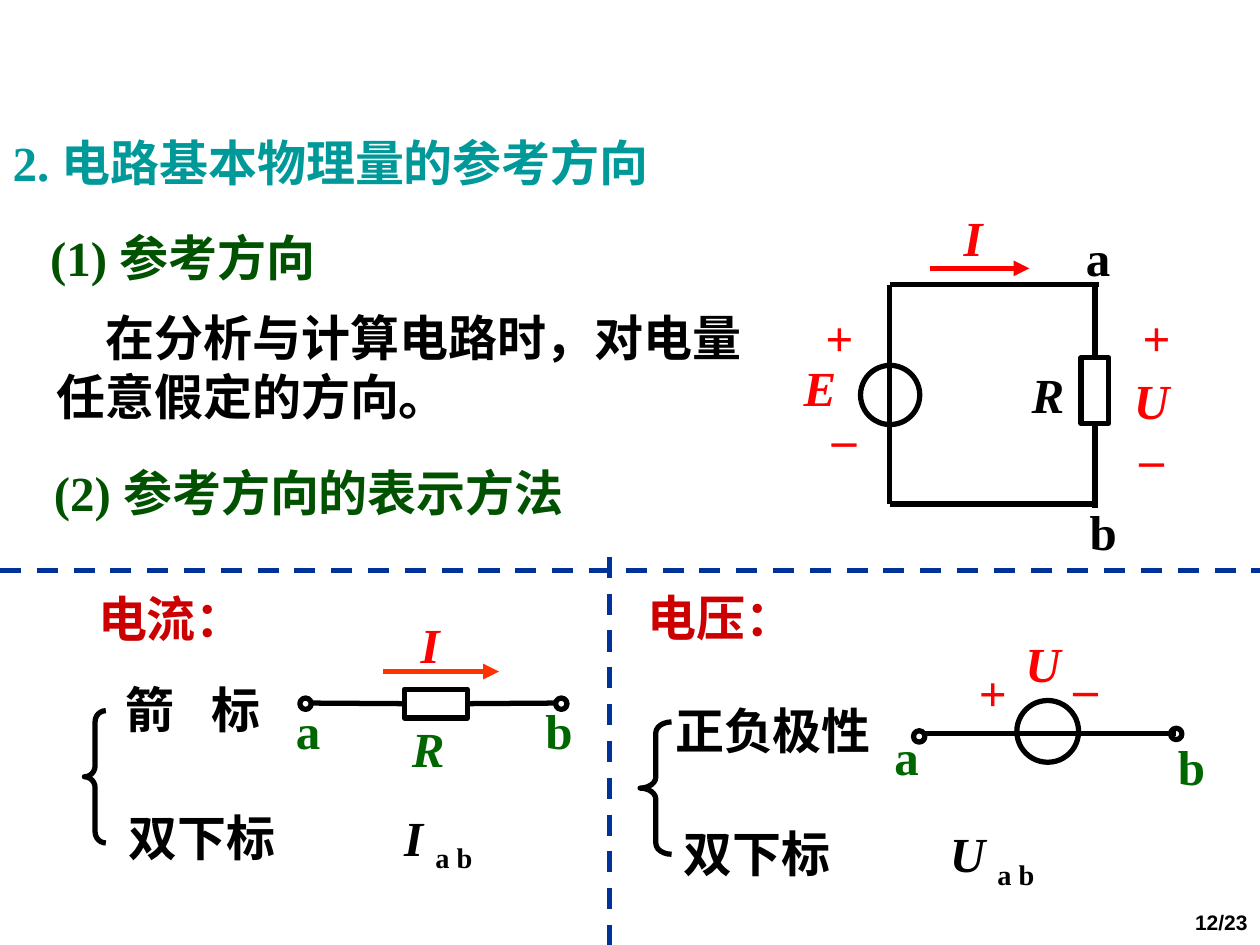
import pptx
import pptx.util
import pptx.dml.color
import pptx.enum.dml
import pptx.enum.shapes
import pptx.enum.text
import pptx.oxml.ns
from lxml import etree

RGBColor = pptx.dml.color.RGBColor
Inches, Pt = pptx.util.Inches, pptx.util.Pt
SHAPE = pptx.enum.shapes.MSO_SHAPE
ALIGN = pptx.enum.text.PP_ALIGN
qn = pptx.oxml.ns.qn

BLACK = RGBColor(0x00, 0x00, 0x00)
RED = RGBColor(0xFF, 0x00, 0x00)
DARK_RED = RGBColor(0xCC, 0x00, 0x00)
ORANGE = RGBColor(0xFF, 0x33, 0x00)
TEAL = RGBColor(0x00, 0x99, 0x99)
DARK_GREEN = RGBColor(0x00, 0x52, 0x00)
GREEN = RGBColor(0x00, 0x66, 0x00)
BLUE = RGBColor(0x00, 0x33, 0x99)

SERIF = "Times New Roman"
WIDTH, HEIGHT = 10, 7.5
LINE_HEIGHT = 0.57
CHAR_GAP = 0.68

TITLE = "2. 电路基本物理量的参考方向"
PAGE = "12/23"
BODY = "在分析与计算电路时，对电量任意假定的方向。"

# number, heading, left, top, width
HEADINGS = [
    ("(1) ", "参考方向", 0.3, 1.76, 3),
    ("(2) ", "参考方向的表示方法", 0.33, 3.62, 4.8),
]

# text, left, top, width, colour, line spacing
CAPTIONS = [
    ("电流：", 0.68, 4.53, 1.82, DARK_RED, 1.2),
    ("电压：", 5.04, 4.61, 1.62, DARK_RED, 1),
    ("箭\t标", 0.9, 5.25, 1.79, BLACK, 1.2),
    ("双下标", 0.92, 6.36, 1.65, BLACK, 1),
    ("正负极性", 5.26, 5.51, 1.9, BLACK, 1),
    ("双下标", 5.33, 6.49, 1.68, BLACK, 1),
]

# symbol, left, top, colour, italic
SYMBOLS = [
    # circuit
    ("I", 7.55, 1.6, RED, True),
    ("E", 6.28, 2.79, RED, True),
    ("+", 6.45, 2.39, RED, True),
    ("_", 6.53, 3.06, RED, True),
    ("a", 8.52, 1.76, BLACK, False),
    ("b", 8.55, 3.93, BLACK, False),
    ("R", 8.09, 2.84, BLACK, True),
    ("U", 8.9, 2.89, RED, True),
    ("+", 8.97, 2.39, RED, False),
    ("_", 8.97, 3.22, RED, True),
    # current branch
    ("a", 2.25, 5.51, GREEN, False),
    ("b", 4.23, 5.51, GREEN, False),
    ("R", 3.17, 5.65, GREEN, True),
    ("I", 3.24, 4.83, RED, True),
    # voltage branch
    ("+", 7.67, 5.21, RED, False),
    ("–", 8.42, 5.17, RED, False),
    ("a", 7, 5.72, GREEN, False),
    ("b", 9.25, 5.8, GREEN, False),
]

# quantity, subscript, left, top
SUBSCRIPTED = [("I ", "a b", 3.11, 6.36), ("U ", "a b", 7.44, 6.49)]

# left, top, width
BRACES = [(0.67, 5.64, 0.17), (5.08, 5.73, 0.25)]
BRACE_HEIGHT, BRACE_CURVE = 1.05, 0.087

# left, top, diameter
CIRCLES = [
    (6.83, 2.9, 0.47), (8.07, 5.56, 0.49),
    (2.38, 5.54, 0.09), (4.41, 5.54, 0.09),
    (7.25, 5.8, 0.09), (9.29, 5.78, 0.09),
]

# from, to
WIRES = [
    ((7.06, 2.26), (8.72, 2.26)),
    ((7.06, 2.26), (7.06, 4)),
    ((7.06, 4), (8.7, 4)),
    ((7.33, 5.82), (9.33, 5.82)),
]
# box, then each wire's outer end with the side of the box it joins
RESISTORS = [
    ((8.58, 2.84, 0.22, 0.52), [((8.69, 2.26), 0), ((8.69, 4.03), 2)]),
    ((3.21, 5.47, 0.5, 0.23), [((2.47, 5.58), 1), ((4.41, 5.58), 3)]),
]
ARROWS = [((7.38, 2.13), (8.17, 2.13), RED), ((3.04, 5.33), (3.96, 5.33), ORANGE)]
DIVIDERS = [((0, 4.53), (WIDTH, 4.53)), ((4.84, 4.42), (4.84, HEIGHT))]


def style(paragraph, color, italic=False, size=28, name=SERIF):
    font = paragraph.font
    font.name, font.size, font.bold, font.italic = name, Pt(size), True, italic
    font.color.rgb = color


def add_text(slide, text, left, top, width, color, italic=False, spacing=None):
    """Add a one-paragraph box and return the paragraph."""
    box = slide.shapes.add_textbox(*map(Inches, (left, top, width, LINE_HEIGHT)))
    box.text_frame.word_wrap = True
    paragraph = box.text_frame.paragraphs[0]
    paragraph.add_run().text = text
    style(paragraph, color, italic)
    if spacing:
        paragraph.line_spacing = float(spacing)
    return paragraph


def add_line(slide, start, end, color=BLACK):
    line = slide.shapes.add_connector(
        pptx.enum.shapes.MSO_CONNECTOR.STRAIGHT, *map(Inches, (*start, *end)))
    line.line.color.rgb = color
    line.line.width = Pt(3)
    etree.SubElement(line._element.spPr, qn("a:effectLst"))
    return line


def add_outline(slide, kind, left, top, width, height):
    shape = slide.shapes.add_shape(kind, *map(Inches, (left, top, width, height)))
    shape.shadow.inherit = False
    shape.fill.background()
    shape.line.color.rgb = BLACK
    shape.line.width = Pt(3)
    return shape


def add_title(slide):
    title = slide.shapes.title
    title.left, title.top, title.width, title.height = map(Inches, (0, 0.91, 6.42, 0.66))
    frame = title.text_frame
    frame.text = TITLE
    frame.auto_size = pptx.enum.text.MSO_AUTO_SIZE.NONE
    frame.vertical_anchor = pptx.enum.text.MSO_ANCHOR.TOP
    paragraph = frame.paragraphs[0]
    paragraph.alignment = ALIGN.LEFT
    paragraph.line_spacing = 1.2
    style(paragraph, TEAL)


def add_words(slide):
    for number, heading, left, top, width in HEADINGS:
        run = add_text(slide, number, left, top, width, DARK_GREEN).add_run()
        run.text, run.font.name = heading, "Karla"
    body = add_text(slide, BODY, 0.35, 2.39, 5.67, BLACK)
    body._p.get_or_add_pPr().set("indent", str(Inches(0.39)))
    for text, left, top, width, color, spacing in CAPTIONS:
        caption = add_text(slide, text, left, top, width, color, spacing=spacing)
        if "\t" in text:
            tabs = etree.SubElement(caption._p.get_or_add_pPr(), qn("a:tabLst"))
            etree.SubElement(tabs, qn("a:tab"), pos=str(Inches(CHAR_GAP)), algn="l")
            caption._p.pPr.insert_element_before(tabs, "a:defRPr", "a:extLst")
    for symbol, left, top, color, italic in SYMBOLS:
        add_text(slide, symbol, left, top, 0.5, color, italic)
    add_text(slide, "U", 8.04, 5.11, 0.62, RED, True, spacing=0.7)
    for quantity, subscript, left, top in SUBSCRIPTED:
        run = add_text(slide, quantity, left, top, 1, BLACK, True).add_run()
        run.text, run.font.italic = subscript, False
        run._r.get_or_add_rPr().set("baseline", "-25000")
    page = add_text(slide, PAGE, 7.67, 7.17, 2.33, BLACK)
    page.alignment = ALIGN.RIGHT
    style(page, BLACK, size=12, name="Arial")


def add_diagrams(slide):
    for start, end in DIVIDERS:
        divider = add_line(slide, start, end, BLUE)
        divider.line.dash_style = pptx.enum.dml.MSO_LINE.DASH
    for left, top, width in BRACES:
        brace = add_outline(slide, SHAPE.LEFT_BRACE, left, top, width, BRACE_HEIGHT)
        brace.adjustments[0] = BRACE_CURVE / width
    for left, top, diameter in CIRCLES:
        add_outline(slide, SHAPE.OVAL, left, top, diameter, diameter)
    for start, end in WIRES:
        add_line(slide, start, end)
    for box, leads in RESISTORS:
        resistor = add_outline(slide, SHAPE.RECTANGLE, *box)
        for outer, side in leads:
            add_line(slide, outer, outer).end_connect(resistor, side)
    for start, end, color in ARROWS:
        arrow = add_line(slide, start, end, color)
        etree.SubElement(arrow.line._get_or_add_ln(), qn("a:tailEnd"), type="triangle")


def main():
    deck = pptx.Presentation()
    deck.slide_width, deck.slide_height = Inches(WIDTH), Inches(HEIGHT)
    slide = deck.slides.add_slide(deck.slide_layouts[5])
    add_title(slide)
    add_diagrams(slide)
    add_words(slide)
    deck.save("out.pptx")


if __name__ == "__main__":
    main()
